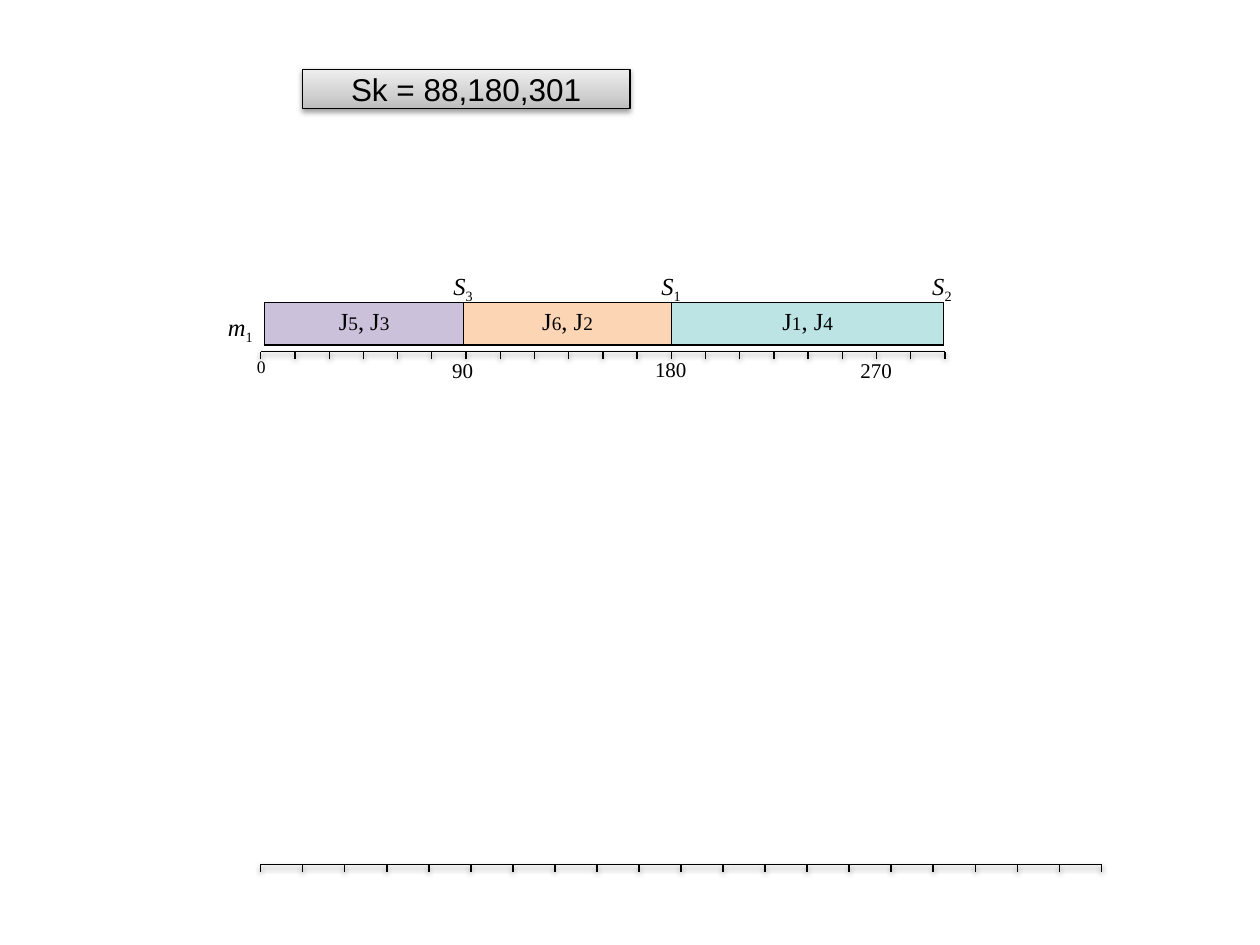
from dataclasses import dataclass

from lxml import etree
from pptx import Presentation
from pptx.dml.color import RGBColor
from pptx.enum.shapes import MSO_CONNECTOR as Connector, MSO_SHAPE as Shape
from pptx.enum.text import MSO_ANCHOR as Anchor, PP_ALIGN as Align
from pptx.oxml import parse_xml
from pptx.oxml.ns import nsdecls, qn
from pptx.util import Inches, Pt


@dataclass(frozen=True)
class Theme:
    ink: str = "000000"
    lilac: str = "CCC1DA"
    peach: str = "FCD5B5"
    aqua: str = "BCE4E5"
    banner_stops: tuple = ((0, "BDBDBD"), (35, "D1D1D1"), (100, "EEEEEE"))
    serif: str = "Times New Roman"
    sans: str = "Arial"
    title: int = 18
    label: int = 14
    scale: int = 12
    index: int = 11
    origin: int = 10
    line: float = 0.75
    border: float = 0.96


class Painter:
    def __init__(self, page, theme):
        self.page = page
        self.theme = theme

    def add_span(self, para, text, size, font=None, italic=False, subscript=False):
        span = para.add_run()
        span.text = text
        span.font.size = Pt(size)
        span.font.name = font or self.theme.serif
        span.font.italic = italic
        span.font.color.rgb = RGBColor.from_string(self.theme.ink)
        if subscript:
            span.font._element.set("baseline", "-25000")

    def style_outline(self, shape):
        """Thin dark line with a soft shadow below."""
        shape.line.color.rgb = RGBColor.from_string(self.theme.ink)
        shape.line.width = Pt(self.theme.line)
        shape._element.spPr.append(parse_xml(
            f'<a:effectLst {nsdecls("a")}><a:outerShdw blurRad="{Pt(3.1)}" '
            f'dist="{Pt(1.6)}" dir="5400000" rotWithShape="0">'
            f'<a:srgbClr val="{self.theme.ink}"><a:alpha val="38000"/></a:srgbClr>'
            '</a:outerShdw></a:effectLst>'))

    def banner(self, text, left, top, width, height):
        box = self.page.shapes.add_shape(
            Shape.RECTANGLE, Inches(left), Inches(top), Inches(width), Inches(height))
        stops = "".join(f'<a:gs pos="{pos * 1000}"><a:srgbClr val="{color}"/></a:gs>'
                        for pos, color in self.theme.banner_stops)
        box._element.spPr.append(parse_xml(
            f'<a:gradFill {nsdecls("a")} rotWithShape="1"><a:gsLst>{stops}</a:gsLst>'
            '<a:lin ang="16200000" scaled="0"/></a:gradFill>'))
        self.style_outline(box)
        box.text_frame.vertical_anchor = Anchor.MIDDLE
        para = box.text_frame.paragraphs[0]
        para.alignment = Align.CENTER
        self.add_span(para, text, self.theme.title, self.theme.sans)

    def label(self, text, left, top, width, height, size, index=""):
        """Plain label, or an italic symbol with a subscript index."""
        box = self.page.shapes.add_textbox(
            Inches(left), Inches(top), Inches(width), Inches(height))
        # Without a right inset the text fits on one line
        box.text_frame.word_wrap = True
        box.text_frame.margin_right = 0
        para = box.text_frame.paragraphs[0]
        self.add_span(para, text, size, italic=bool(index))
        if index:
            self.add_span(para, index, size, subscript=True)

    def batch(self, jobs, left, top, width, height, color):
        """One-cell table that lists the jobs of a batch."""
        table = self.page.shapes.add_table(
            1, 1, Inches(left), Inches(top), Inches(width), Inches(height)).table
        table.first_row = table.horz_banding = False
        cell = table.cell(0, 0)
        props = cell._tc.get_or_add_tcPr()
        for side in ("lnL", "lnR", "lnT", "lnB"):
            edge = etree.SubElement(props, qn(f"a:{side}"), w=str(Pt(self.theme.border)))
            fill = etree.SubElement(edge, qn("a:solidFill"))
            etree.SubElement(fill, qn("a:srgbClr"), val=self.theme.ink)
        cell.fill.solid()
        cell.fill.fore_color.rgb = RGBColor.from_string(color)
        para = cell.text_frame.paragraphs[0]
        para.alignment = Align.CENTER
        for prefix, job in zip(("J", ", J"), jobs):
            self.add_span(para, prefix, self.theme.label)
            self.add_span(para, job, self.theme.index)

    def axis(self, left, right, top, steps=20, tick=0.06):
        """Grouped time line with evenly spaced ticks."""
        group = self.page.shapes.add_group_shape()
        places = [left + (right - left) * i / steps for i in range(steps + 1)]
        segments = [(left, top, right, top)]
        segments += [(x, top + tick, x, top) for x in places]
        for segment in segments:
            line = group.shapes.add_connector(
                Connector.STRAIGHT, *(Inches(value) for value in segment))
            self.style_outline(line)


deck = Presentation()
deck.slide_width, deck.slide_height = Inches(10), Inches(7.5)
theme = Theme()
painter = Painter(deck.slides.add_slide(deck.slide_layouts[6]), theme)

# Time axes
painter.axis(2.07, 7.5, 2.79)
painter.axis(2.07, 8.74, 6.86)

# Batches, side by side on the machine
batch_left = 2.1
for jobs, width, color in (("53", 1.58, theme.lilac),
                           ("62", 1.65, theme.peach),
                           ("14", 2.16, theme.aqua)):
    painter.batch(jobs, batch_left, 2.4, width, 0.34, color)
    batch_left += width

# Machine and batch end symbols
painter.label("m", 1.71, 2.43, 0.39, 0.36, theme.label, "1")
for index, left in (("3", 3.5), ("1", 5.15), ("2", 7.3)):
    painter.label("S", left, 2.1, 0.35, 0.36, theme.label, index)

# Time values
painter.label("0", 1.94, 2.78, 0.27, 0.27, theme.origin)
for value, left, top in (("90", 3.49, 2.79), ("180", 5.1, 2.78), ("270", 6.73, 2.79)):
    painter.label(value, left, top, 0.39, 0.36, theme.scale)

# Objective value
painter.banner("Sk = 88,180,301", 2.4, 0.55, 2.6, 0.31)

deck.save("out.pptx")
